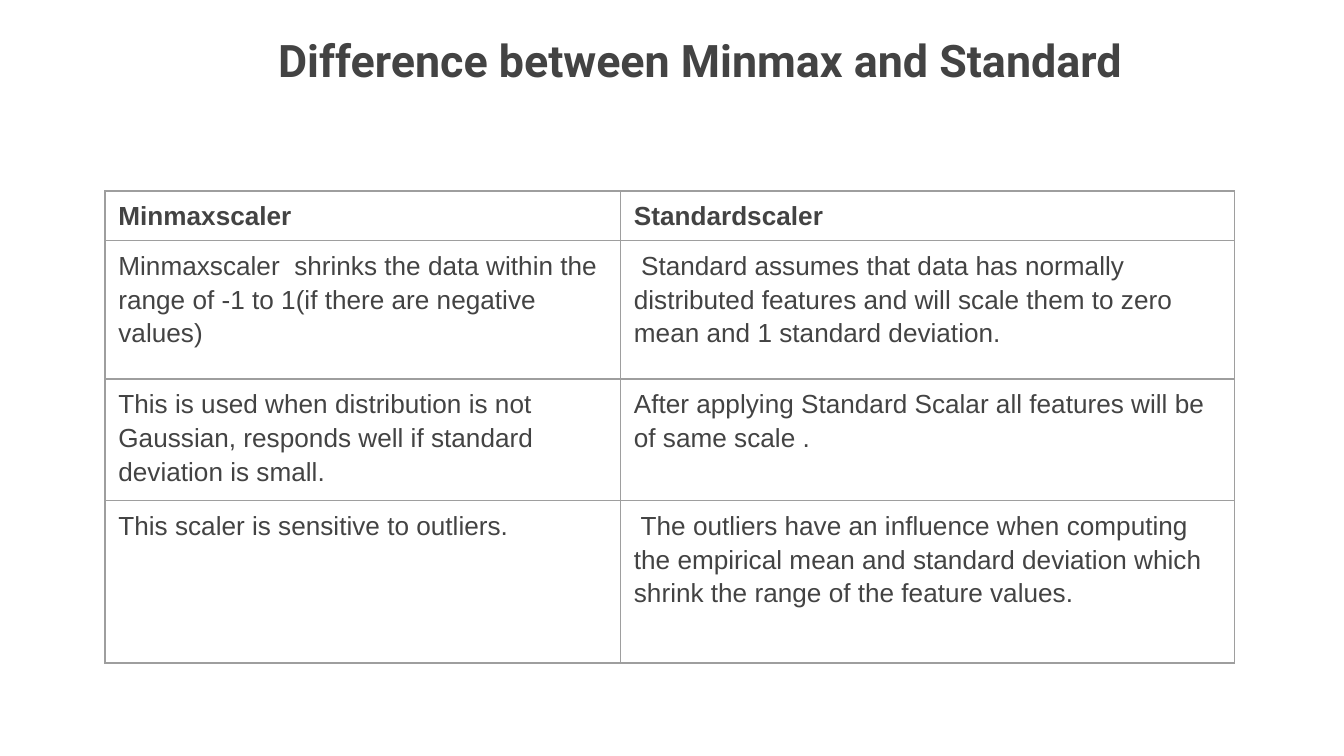
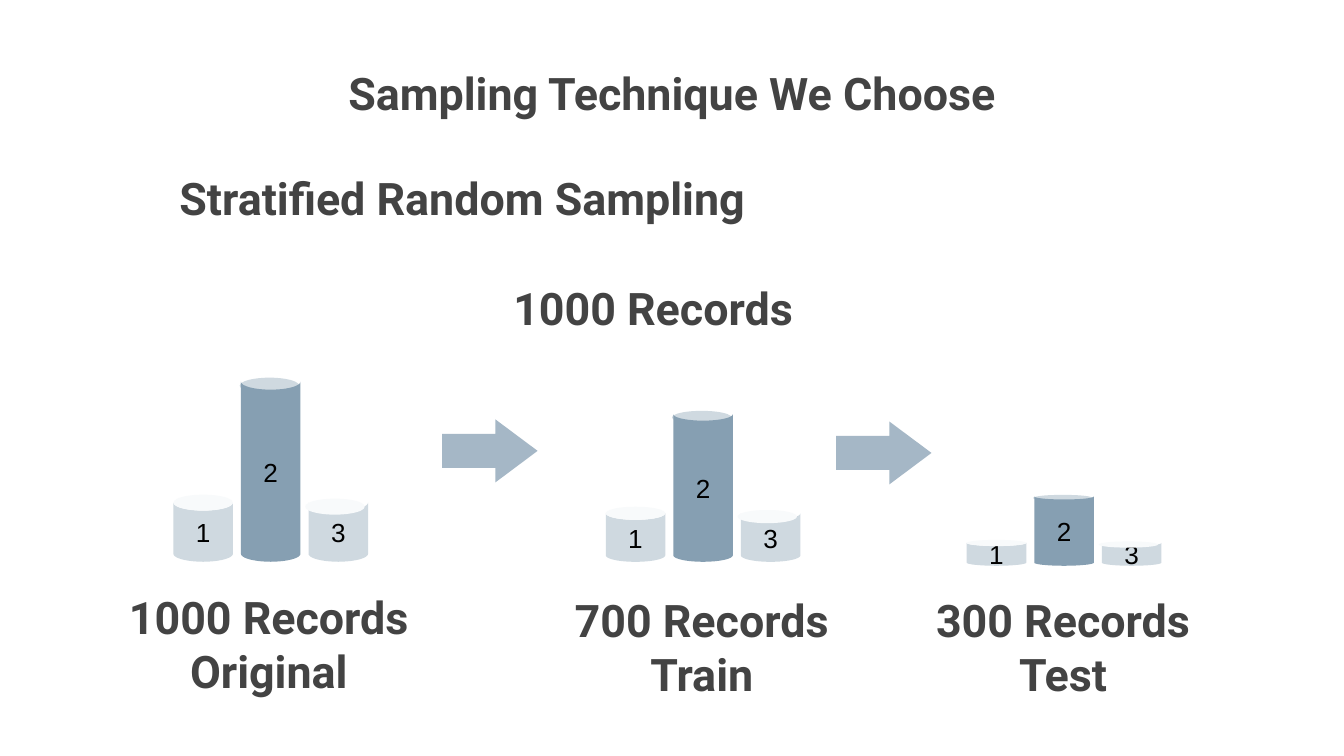
"""Build two slides on data scaling and stratified sampling."""
import math
from dataclasses import dataclass

from lxml import etree
from pptx import Presentation
from pptx import util as u
from pptx.dml.color import RGBColor
from pptx.enum import shapes, text
from pptx.oxml import ns


@dataclass(frozen=True)
class Theme:
    """Colours, fonts and type sizes shared by the slides."""
    ink: str = "434343"
    label: str = "000000"
    grid: str = "9E9E9E"
    pale: str = "CFD9E0"
    lid: str = "F8FAFB"
    strong: str = "869FB2"
    arrow: str = "A5B7C6"
    heading_font: str = "Roboto"
    body_font: str = "Arial"
    heading_size: int = 24
    body_size: int = 14


THEME = Theme()
HEADING = dict(font=THEME.heading_font, size=THEME.heading_size, bold=True,
               align=text.PP_ALIGN.CENTER)
BAR_WIDTH = 31.9
BAR_PITCH = 36.2
ARC_STEPS = 24

SCALER_ROWS = [
    ("Minmaxscaler", "Standardscaler"),
    ("Minmaxscaler  shrinks the data within the range of -1 to 1(if there are negative values)",
     " Standard assumes that data has normally distributed features and will scale them "
     "to zero mean and 1 standard deviation."),
    ("This is used when distribution is not Gaussian, responds well if standard deviation is small.",
     "After applying Standard Scalar all features will be of same scale ."),
    ("This scaler is sensitive to outliers.",
     " The outliers have an influence when computing the empirical mean and standard "
     "deviation which shrink the range of the feature values."),
]


def write_text(frame, content, *, font=THEME.body_font, size=THEME.body_size,
               color=THEME.ink, bold=False, align=text.PP_ALIGN.LEFT, spacing=None):
    """Fill a text frame, one paragraph for each line of content."""
    frame.word_wrap = True
    for index, line in enumerate(content.split("\n")):
        paragraph = frame.add_paragraph() if index else frame.paragraphs[0]
        paragraph.alignment = align
        if spacing:
            paragraph.line_spacing = spacing
        run = paragraph.add_run()
        run.text = line
        run.font.name = font
        run.font.size = u.Pt(size)
        run.font.bold = bold
        run.font.color.rgb = RGBColor.from_string(color)


def set_margins(frame, margin):
    """Give a text frame the same margin on all sides."""
    frame.margin_left = frame.margin_right = u.Pt(margin)
    frame.margin_top = frame.margin_bottom = u.Pt(margin)


def add_heading(slide, content, left, top, width, height):
    """Add a centred bold heading."""
    box = slide.shapes.add_textbox(u.Pt(left), u.Pt(top), u.Pt(width), u.Pt(height))
    set_margins(box.text_frame, 7.2)
    write_text(box.text_frame, content, **HEADING)


def paint(shape, color):
    """Give a shape a flat fill without line or shadow."""
    shape.shadow.inherit = False
    shape.fill.solid()
    shape.fill.fore_color.rgb = RGBColor.from_string(color)
    shape.line.fill.background()


def add_preset(slide, preset, left, top, width, height, color):
    """Add a flat preset shape."""
    shape = slide.shapes.add_shape(preset, u.Pt(left), u.Pt(top), u.Pt(width), u.Pt(height))
    paint(shape, color)
    return shape


def add_arrow(slide, left, top):
    """Add a block arrow that points right."""
    arrow = add_preset(slide, shapes.MSO_SHAPE.RIGHT_ARROW, left, top, 51.1, 33.7, THEME.arrow)
    arrow.adjustments[0] = 0.54
    arrow.adjustments[1] = 0.67


def add_bar_body(slide, label, left, top, bottom, rim, color):
    """Add the curved wall of a cylinder with its number."""
    center, radius = left + BAR_WIDTH / 2, BAR_WIDTH / 2
    angles = [math.pi * step / ARC_STEPS for step in range(ARC_STEPS + 1)]
    outline = [(center + side * radius * math.cos(angle), level + rim * math.sin(angle))
               for side, level in ((-1, bottom - rim), (1, top)) for angle in angles]
    points = [(u.Pt(x), u.Pt(y)) for x, y in outline]
    builder = slide.shapes.build_freeform(*points[0])
    builder.add_line_segments(points[1:], close=True)
    body = builder.convert_to_shape()
    paint(body, color)
    set_margins(body.text_frame, 7.2)
    body.text_frame.vertical_anchor = text.MSO_ANCHOR.MIDDLE
    write_text(body.text_frame, label, color=THEME.label, align=text.PP_ALIGN.CENTER)


def add_bar_group(slide, left, bottom, scale):
    """Add three numbered cylinders, with heights in proportion to scale."""
    rim = 4.3 * scale

    def add_lid(x, y, color):
        """Add an oval lid centred on the given height."""
        add_preset(slide, shapes.MSO_SHAPE.OVAL, x, y - rim, BAR_WIDTH, 2 * rim, color)

    low, high = bottom - 31.7 * scale, bottom - 96.5 * scale
    middle, right = left + BAR_PITCH, left + 2 * BAR_PITCH
    add_bar_body(slide, "1", left, low, bottom, rim, THEME.pale)
    add_lid(left, low, THEME.lid)
    add_bar_body(slide, "3", right, low, bottom, rim, THEME.pale)
    add_lid(right - 1.8, low + rim / 2, THEME.lid)
    add_lid(middle - 0.7, high + rim / 2, THEME.pale)
    add_bar_body(slide, "2", middle, high, bottom, rim, THEME.strong)


def add_cell_borders(cell):
    """Draw a thin grid line on each side of a table cell."""
    properties = cell._tc.get_or_add_tcPr()
    for side in ("a:lnL", "a:lnR", "a:lnT", "a:lnB"):
        line = etree.SubElement(properties, ns.qn(side), w=str(u.Pt(0.75)))
        fill = etree.SubElement(line, ns.qn("a:solidFill"))
        etree.SubElement(fill, ns.qn("a:srgbClr"), val=THEME.grid)


def add_grid_table(slide, rows, left, top, widths, heights):
    """Add a plain ruled table with a bold first row."""
    frame = slide.shapes.add_table(len(rows), len(widths), u.Pt(left), u.Pt(top),
                                   u.Pt(sum(widths)), u.Pt(sum(heights)))
    table = frame.table
    table.first_row = table.horz_banding = False
    for column, width in zip(table.columns, widths):
        column.width = u.Pt(width)
    for index, (row, height) in enumerate(zip(table.rows, heights)):
        row.height = u.Pt(height)
        for cell, content in zip(row.cells, rows[index]):
            add_cell_borders(cell)
            cell.fill.background()
            cell.margin_left = cell.margin_right = u.Pt(7.2)
            cell.margin_top = cell.margin_bottom = u.Pt(3.6)
            write_text(cell.text_frame, content, bold=index == 0, spacing=1.15)


def build_scaler_slide(slide):
    """Compare the two scalers in a table."""
    add_heading(slide, "Difference between Minmax and Standard ", 133.2, 10.1, 489.6, 74.2)
    add_grid_table(slide, SCALER_ROWS, 56.2, 102.3, (276.2, 329), (25.2, 74.2, 61, 87.1))


def build_sampling_slide(slide):
    """Show how the records are split into train and test sets."""
    add_heading(slide, "Sampling Technique We Choose", 154.8, 28.1, 410.4, 74.2)
    add_heading(slide, "Stratified Random Sampling", 37.4, 84.2, 420.5, 52.6)
    add_heading(slide, "1000 Records", 139.7, 143.3, 420.5, 52.6)
    groups = [
        ("1000 Records\nOriginal", 25.9, 308.9, 92.9, 301, 1),
        ("700 Records\nTrain", 257.8, 310.3, 324.5, 301, 0.82),
        ("300 Records\nTest", 451.4, 310.3, 517.9, 303.1, 0.385),
    ]
    for caption, caption_left, caption_top, left, bottom, scale in groups:
        add_bar_group(slide, left, bottom, scale)
        add_heading(slide, caption, caption_left, caption_top, 236.2, 63.4)
    add_arrow(slide, 236.9, 224.7)
    add_arrow(slide, 447.9, 225.8)


def main():
    """Create the presentation and save it."""
    presentation = Presentation()
    presentation.slide_width, presentation.slide_height = u.Pt(720), u.Pt(405)
    blank = presentation.slide_layouts[6]
    for build in (build_scaler_slide, build_sampling_slide):
        build(presentation.slides.add_slide(blank))
    presentation.save("out.pptx")


if __name__ == "__main__":
    main()
